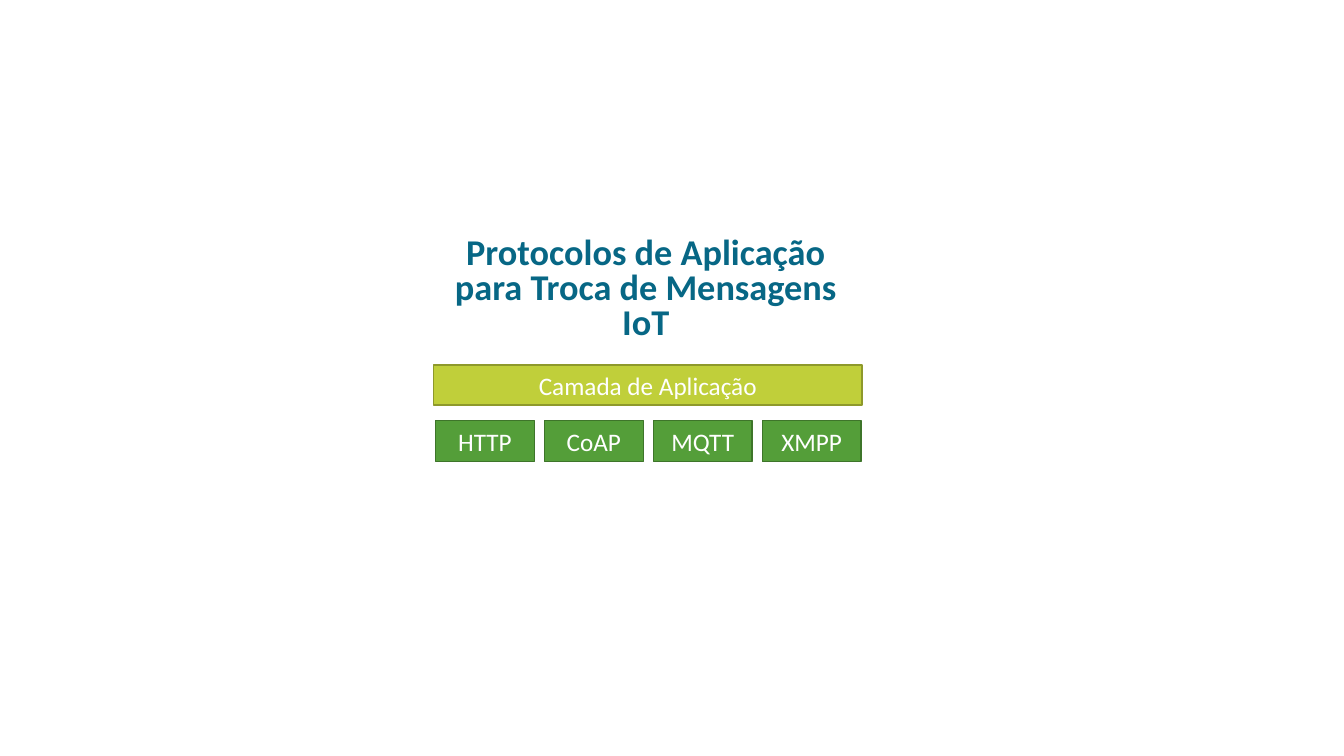
from pptx import Presentation
from pptx.dml.color import RGBColor
from pptx.enum.shapes import MSO_SHAPE
from pptx.enum.text import MSO_ANCHOR, MSO_AUTO_SIZE, PP_ALIGN
from pptx.util import Inches, Pt

RECTANGLE = MSO_SHAPE.RECTANGLE
MIDDLE = MSO_ANCHOR.MIDDLE
NO_AUTOFIT = MSO_AUTO_SIZE.NONE
CENTER = PP_ALIGN.CENTER

FONT = "Calibri"
TITLE_ONLY = 5
PROTOCOLS = ["HTTP", "CoAP", "MQTT", "XMPP"]
PROTOCOL_LEFT, PROTOCOL_TOP, PROTOCOL_STEP = 4.32, 4.17, 1.08


def color(hex_value):
    return RGBColor.from_string(hex_value)


def write_centered(shape, text, size, hex_value, bold=False):
    frame = shape.text_frame
    frame.text = text
    frame.word_wrap = True
    frame.auto_size = NO_AUTOFIT
    frame.vertical_anchor = MIDDLE
    paragraph = frame.paragraphs[0]
    paragraph.alignment = CENTER
    font = paragraph.runs[0].font
    font.name = FONT
    font.size = Pt(size)
    font.bold = bold
    font.color.rgb = color(hex_value)
    return paragraph


def set_title(slide, text, left, top, width, height):
    title = slide.shapes.title
    title.left, title.top = Inches(left), Inches(top)
    title.width, title.height = Inches(width), Inches(height)
    paragraph = write_centered(title, text, 25.9, "076785", bold=True)
    paragraph.line_spacing = 0.8


def add_block(slide, text, left, top, width, height, fill, border):
    block = slide.shapes.add_shape(
        RECTANGLE, Inches(left), Inches(top), Inches(width), Inches(height))
    block.shadow.inherit = False
    block.fill.solid()
    block.fill.fore_color.rgb = color(fill)
    block.line.color.rgb = color(border)
    block.line.width = Pt(1)
    write_centered(block, text, 18, "FFFFFF")


def main():
    presentation = Presentation()
    presentation.slide_width = Inches(13.33)
    presentation.slide_height = Inches(7.5)
    slide = presentation.slides.add_slide(presentation.slide_layouts[TITLE_ONLY])

    set_title(slide, "Protocolos de Aplicação para Troca de Mensagens IoT",
              4.28, 2.3, 4.25, 1.16)
    add_block(slide, "Camada de Aplicação", 4.3, 3.62, 4.25, 0.4,
              "C0CF3A", "8E992B")
    for column, protocol in enumerate(PROTOCOLS):
        add_block(slide, protocol, PROTOCOL_LEFT + column * PROTOCOL_STEP,
                  PROTOCOL_TOP, 0.98, 0.41, "549E39", "3E752A")

    presentation.save("out.pptx")


if __name__ == "__main__":
    main()
